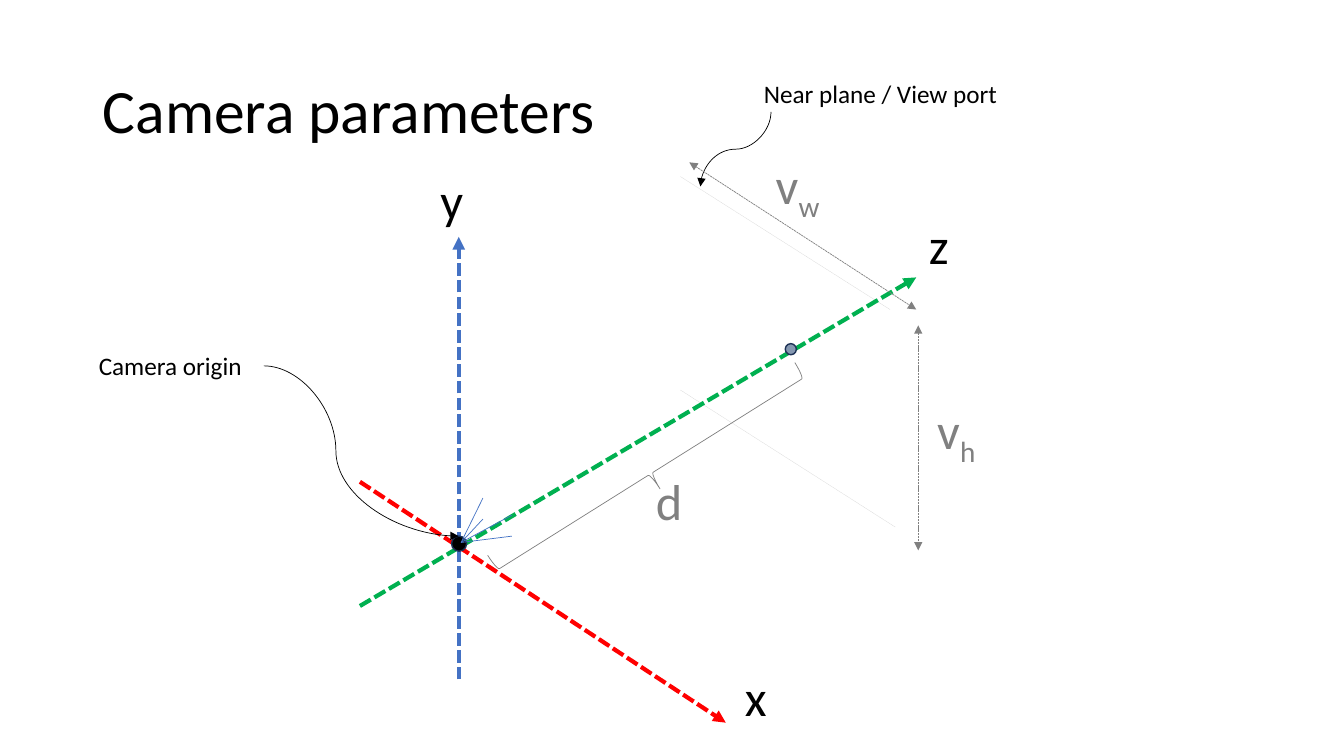
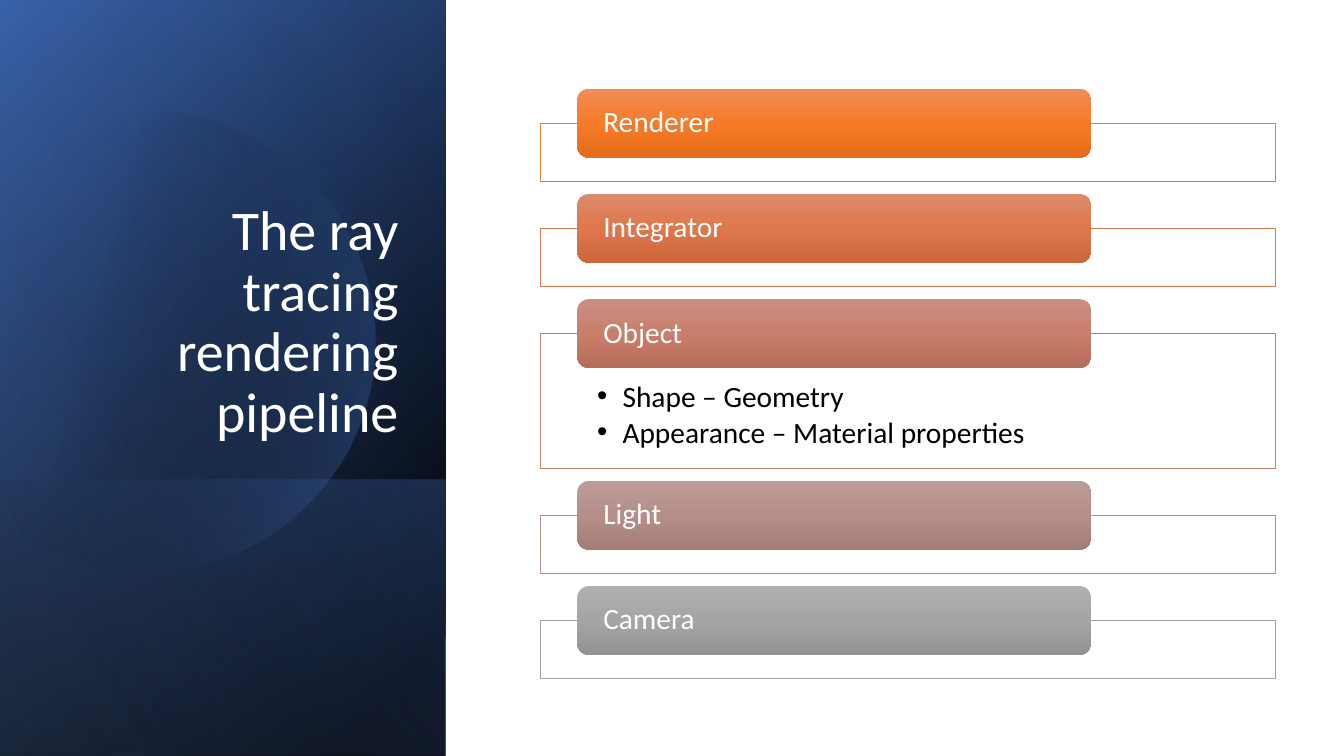
"""Build two slides on ray tracing: the camera model and the rendering pipeline."""
from dataclasses import dataclass
from math import acos, cos, sin
from typing import NamedTuple

from lxml.etree import SubElement
from pptx import Presentation
from pptx.dml.color import RGBColor
from pptx.enum.dml import MSO_LINE
from pptx.enum.shapes import MSO_CONNECTOR, MSO_SHAPE
from pptx.enum.text import MSO_ANCHOR, PP_ALIGN
from pptx.oxml.ns import qn
from pptx.util import Cm, Pt

FONT = "Calibri"
COLORS = {
    "black": "000000", "white": "FFFFFF", "gray": "808080", "faint": "D9D9D9",
    "navy": "1E3256", "blue": "4472C4", "deep_blue": "2F5597", "pale_blue": "8FAADC",
    "green": "00B050", "red": "FF0000", "slate": "8497B0",
}
SLIDE_WIDTH, SLIDE_HEIGHT = 33.87, 19.05
PANEL_WIDTH = 11.23


class Box(NamedTuple):
    left: float
    top: float
    width: float
    height: float


class Stop(NamedTuple):
    position: int
    color: str
    alpha: int = 100


@dataclass
class Label:
    text: str
    box: Box
    size: int = 36
    color: str = "black"
    subscript: str = ""


@dataclass
class Line:
    start: tuple[float, float]
    end: tuple[float, float]
    color: str
    width: float = 0.5
    dash: MSO_LINE | None = None
    head: bool = False
    tail: bool = False
    kind: MSO_CONNECTOR = MSO_CONNECTOR.STRAIGHT
    rotation: int = 0
    bend: int = 50


@dataclass
class Panel:
    top: float
    angle: int
    stops: list[Stop]


@dataclass
class Stage:
    name: str
    outline: str
    shades: tuple[str, str, str]
    details: tuple[str, ...] = ()


AXES = [
    Line((9.07, 15.27), (23.09, 6.99), "green", 3, MSO_LINE.SQUARE_DOT, tail=True),
    Line((9.07, 12.14), (18.29, 18.21), "red", 3, MSO_LINE.SQUARE_DOT, tail=True),
    Line((11.56, 17.12), (11.56, 5.97), "blue", 3, MSO_LINE.SQUARE_DOT, tail=True),
]
VIEW_PORT_EDGES = [
    Line((17.15, 4.45), (22.43, 7.8), "faint", 0.25, MSO_LINE.ROUND_DOT),
    Line((17.15, 9.83), (22.56, 13.28), "faint", 0.25, MSO_LINE.ROUND_DOT),
]
RAYS = [Line(start, (11.62, 13.67), "blue")
        for start in ((12.17, 12.55), (12.9, 12.98), (12.17, 13.08), (12.9, 13.51))]
POINTERS = [
    Line((6.65, 9.22), (11.56, 13.51), "black", tail=True,
         kind=MSO_CONNECTOR.CURVE, bend=37),
    Line((17.6, 2.87), (19.48, 4.65), "black", tail=True,
         kind=MSO_CONNECTOR.CURVE, rotation=90),
]
DIMENSIONS = [
    Line(start, end, "gray", dash=MSO_LINE.SQUARE_DOT, head=True, tail=True)
    for start, end in (((17.37, 4.09), (23.09, 7.8)), ((23.14, 8.2), (23.14, 13.87)))
]
LABELS = [
    Label("x", Box(18.52, 16.66, 1.07, 1.8)),
    Label("y", Box(10.85, 4.14, 1.09, 1.8)),
    Label("z", Box(23.16, 5.28, 1.02, 1.8)),
    Label("d", Box(16.28, 11.73, 1.19, 1.8), color="gray"),
    Label("v", Box(19.3, 3.76, 1.7, 1.8), color="gray", subscript="w"),
    Label("v", Box(23.37, 9.93, 1.55, 1.8), color="gray", subscript="h"),
    Label("Camera origin", Box(2.24, 8.71, 4.17, 1.02), 18),
    Label("Near plane / View port", Box(19, 1.85, 6.88, 1.02), 18),
]
BASE_PANELS = [
    Panel(0, 220, [Stop(8, COLORS["black"]), Stop(100, COLORS["deep_blue"])]),
    Panel(0, 240, [Stop(0, COLORS["black"], 0), Stop(99, COLORS["blue"], 46)]),
    Panel(12.09, 140, [Stop(2, COLORS["blue"], 29), Stop(100, COLORS["black"], 30)]),
]
GLOW_PANEL = Panel(0, 150, [Stop(0, COLORS["black"], 0), Stop(99, COLORS["pale_blue"], 11)])
STAGES = [
    Stage("Renderer", "ED7D31", ("F18C57", "F67B28", "E56C19")),
    Stage("Integrator", "D87A51", ("DD8A6A", "DE774B", "CD673B")),
    Stage("Object", "C48170", ("CB8F81", "C97E6B", "B76D5B"),
          ("Shape – Geometry", "Appearance – Material properties")),
    Stage("Light", "B4908B", ("BC9C99", "B68E89", "A47C78")),
    Stage("Camera", "A5A5A5", ("AFAFAF", "A5A5A5", "939393")),
]


def rgb(color: str) -> RGBColor:
    return RGBColor.from_string(COLORS.get(color, color))


def lengths(box: Box) -> list[Cm]:
    return [Cm(value) for value in box]


def format_runs(para, size: float, color: str) -> None:
    for span in para.runs:
        span.font.name = FONT
        span.font.size = Pt(size)
        span.font.color.rgb = rgb(color)


def set_insets(frame, left: float, top: float, right: float, bottom: float) -> None:
    frame.margin_left, frame.margin_top = Cm(left), Cm(top)
    frame.margin_right, frame.margin_bottom = Cm(right), Cm(bottom)


def add_title(page, text: str, box: Box, size: int, color: str,
              align: PP_ALIGN, anchor: MSO_ANCHOR) -> None:
    frame = page.shapes.add_textbox(*lengths(box)).text_frame
    frame.word_wrap = True
    frame.vertical_anchor = anchor
    frame.text = text
    para = frame.paragraphs[0]
    para.alignment = align
    para.line_spacing = 0.9
    format_runs(para, size, color)


def add_label(page, label: Label) -> None:
    frame = page.shapes.add_textbox(*lengths(label.box)).text_frame
    frame.word_wrap = False
    frame.text = label.text
    para = frame.paragraphs[0]
    if label.subscript:
        span = para.add_run()
        span.text = label.subscript
        span._r.get_or_add_rPr().set("baseline", "-25000")
    format_runs(para, label.size, label.color)


def add_line(page, line: Line) -> None:
    ends = [Cm(value) for value in (*line.start, *line.end)]
    connector = page.shapes.add_connector(line.kind, *ends)
    connector.line.color.rgb = rgb(line.color)
    connector.line.width = Pt(line.width)
    if line.dash:
        connector.line.dash_style = line.dash
    properties = connector.element.spPr
    outline = properties.find(qn("a:ln"))
    for wanted, tag in ((line.head, "a:headEnd"), (line.tail, "a:tailEnd")):
        if wanted:
            SubElement(outline, qn(tag), type="triangle")
    SubElement(properties, qn("a:effectLst"))
    if line.rotation:
        properties.find(qn("a:xfrm")).set("rot", str(line.rotation * 60000))
    if line.kind == MSO_CONNECTOR.CURVE:
        adjustments = properties.find(qn("a:prstGeom")).find(qn("a:avLst"))
        SubElement(adjustments, qn("a:gd"), name="adj1", fmla=f"val {line.bend * 1000}")


def style_shape(shape, fill: str = "", outline: str = "", width: float = 0.5) -> None:
    shape.shadow.inherit = False
    if fill:
        shape.fill.solid()
        shape.fill.fore_color.rgb = rgb(fill)
    else:
        shape.fill.background()
    if outline:
        shape.line.color.rgb = rgb(outline)
        shape.line.width = Pt(width)
    else:
        shape.line.fill.background()


def add_shape(page, kind: MSO_SHAPE, box: Box, fill: str = "",
              outline: str = "", width: float = 0.5):
    shape = page.shapes.add_shape(kind, *lengths(box))
    style_shape(shape, fill, outline, width)
    return shape


def set_gradient(shape, stops: list[Stop], angle: int) -> None:
    shape.fill.gradient()
    shape.fill.gradient_angle = 360 - angle
    stop_list = shape.element.spPr.find(qn("a:gradFill")).find(qn("a:gsLst"))
    stop_list.clear()
    for stop in stops:
        entry = SubElement(stop_list, qn("a:gs"), pos=str(stop.position * 1000))
        color = SubElement(entry, qn("a:srgbClr"), val=stop.color)
        if stop.alpha < 100:
            SubElement(color, qn("a:alpha"), val=str(stop.alpha * 1000))


def add_panel(page, panel: Panel) -> None:
    box = Box(0, panel.top, PANEL_WIDTH, SLIDE_HEIGHT - panel.top)
    set_gradient(add_shape(page, MSO_SHAPE.RECTANGLE, box), panel.stops, panel.angle)


def add_disc(page) -> None:
    center_x, center_y, radius, steps = 3.66, 8.59, 5.8, 120
    limit = acos(-center_x / radius)
    angles = [limit * (2 * step / steps - 1) for step in range(steps + 1)]
    points = [(Cm(center_x + radius * cos(angle)), Cm(center_y + radius * sin(angle)))
              for angle in angles]
    builder = page.shapes.build_freeform(*points[0])
    builder.add_line_segments(points[1:], close=True)
    disc = builder.convert_to_shape()
    style_shape(disc)
    set_gradient(disc, [Stop(29, COLORS["black"], 0), Stop(100, COLORS["blue"], 43)], 14)


def add_bullet(para) -> None:
    para.alignment = PP_ALIGN.LEFT
    para.line_spacing = 0.9
    para.space_after = Pt(3)
    properties = para._p.get_or_add_pPr()
    properties.set("marL", str(Cm(0.64)))
    properties.set("indent", str(-Cm(0.64)))
    SubElement(properties, qn("a:buFont"), typeface="Arial")
    SubElement(properties, qn("a:buChar"), char="•")
    format_runs(para, 21, "black")


def add_stage(page, stage: Stage, top: float, height: float) -> None:
    card = add_shape(page, MSO_SHAPE.RECTANGLE, Box(13.61, top, 18.52, height),
                     "white", stage.outline)
    if stage.details:
        frame = card.text_frame
        frame.word_wrap = True
        frame.vertical_anchor = MSO_ANCHOR.TOP
        set_insets(frame, 1.44, 1.22, 1.44, 0.4)
        frame.text = "\n".join(stage.details)
        for para in frame.paragraphs:
            add_bullet(para)
    header = add_shape(page, MSO_SHAPE.ROUNDED_RECTANGLE, Box(14.55, top - 0.86, 12.95, 1.73))
    stops = [Stop(50 * index, shade) for index, shade in enumerate(stage.shades)]
    set_gradient(header, stops, 90)
    frame = header.text_frame
    frame.vertical_anchor = MSO_ANCHOR.MIDDLE
    set_insets(frame, 0.57, 0, 0.57, 0)
    frame.text = stage.name
    para = frame.paragraphs[0]
    para.alignment = PP_ALIGN.LEFT
    para.line_spacing = 0.9
    format_runs(para, 21, "white")


def build_camera(page) -> None:
    add_title(page, "Camera parameters", Box(2.34, 1.02, 29.21, 3.68), 44, "black",
              PP_ALIGN.LEFT, MSO_ANCHOR.MIDDLE)
    for line in VIEW_PORT_EDGES + AXES:
        add_line(page, line)
    add_shape(page, MSO_SHAPE.OVAL, Box(11.38, 13.51, 0.38, 0.38), "black", "navy", 1)
    for line in RAYS + POINTERS + DIMENSIONS:
        add_line(page, line)
    add_shape(page, MSO_SHAPE.OVAL, Box(19.79, 8.66, 0.28, 0.28), "slate", "navy", 1)
    brace = add_shape(page, MSO_SHAPE.RIGHT_BRACE, Box(15.95, 7.37, 0.89, 9.14), outline="gray")
    brace.rotation = 57.9
    for label in LABELS:
        add_label(page, label)


def build_pipeline(page) -> None:
    for panel in BASE_PANELS:
        add_panel(page, panel)
    add_disc(page)
    add_panel(page, GLOW_PANEL)
    add_title(page, "The ray tracing rendering pipeline", Box(1.63, 4.67, 8.66, 6.65), 40,
              "white", PP_ALIGN.RIGHT, MSO_ANCHOR.BOTTOM)
    top, gap = 3.1, 1.18
    for stage in STAGES:
        height = 3.4 if stage.details else 1.47
        add_stage(page, stage, top, height)
        top += height + gap


def main() -> None:
    deck = Presentation()
    deck.slide_width, deck.slide_height = Cm(SLIDE_WIDTH), Cm(SLIDE_HEIGHT)
    for build in (build_camera, build_pipeline):
        build(deck.slides.add_slide(deck.slide_layouts[6]))
    deck.save("out.pptx")


if __name__ == "__main__":
    main()
